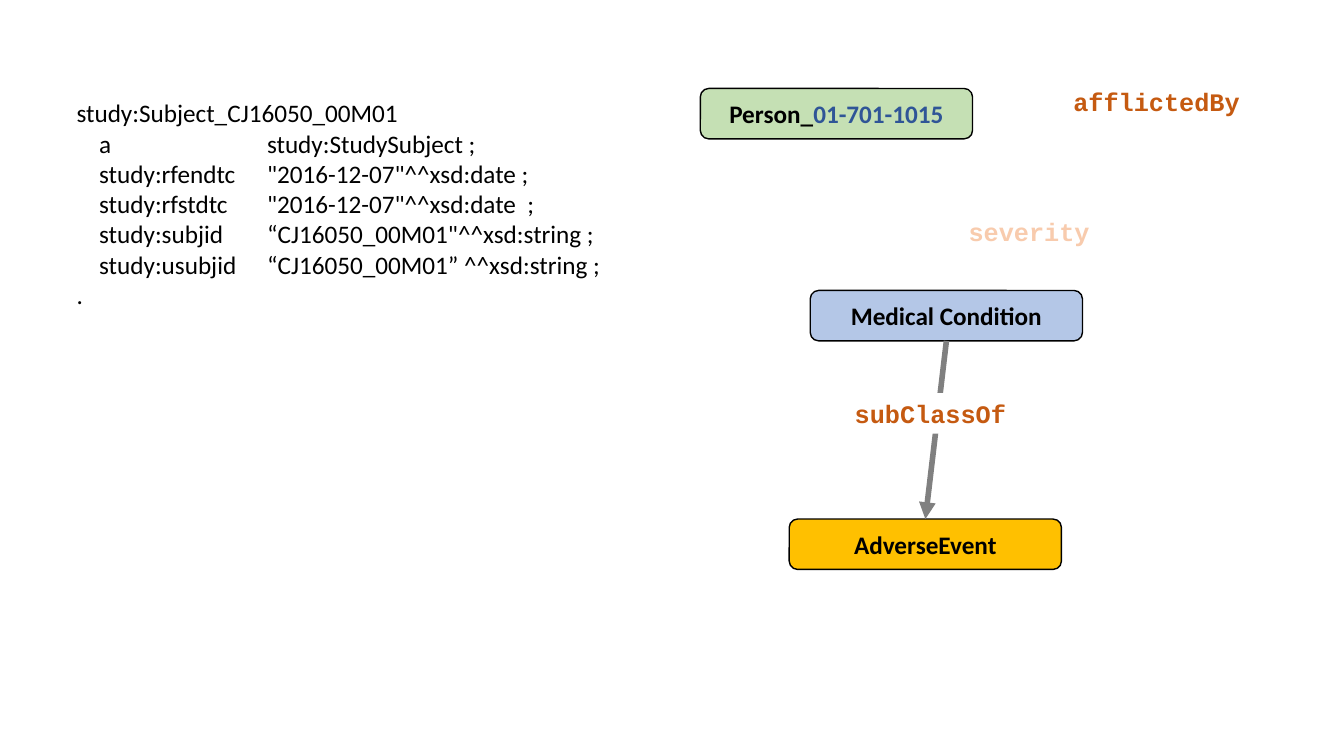
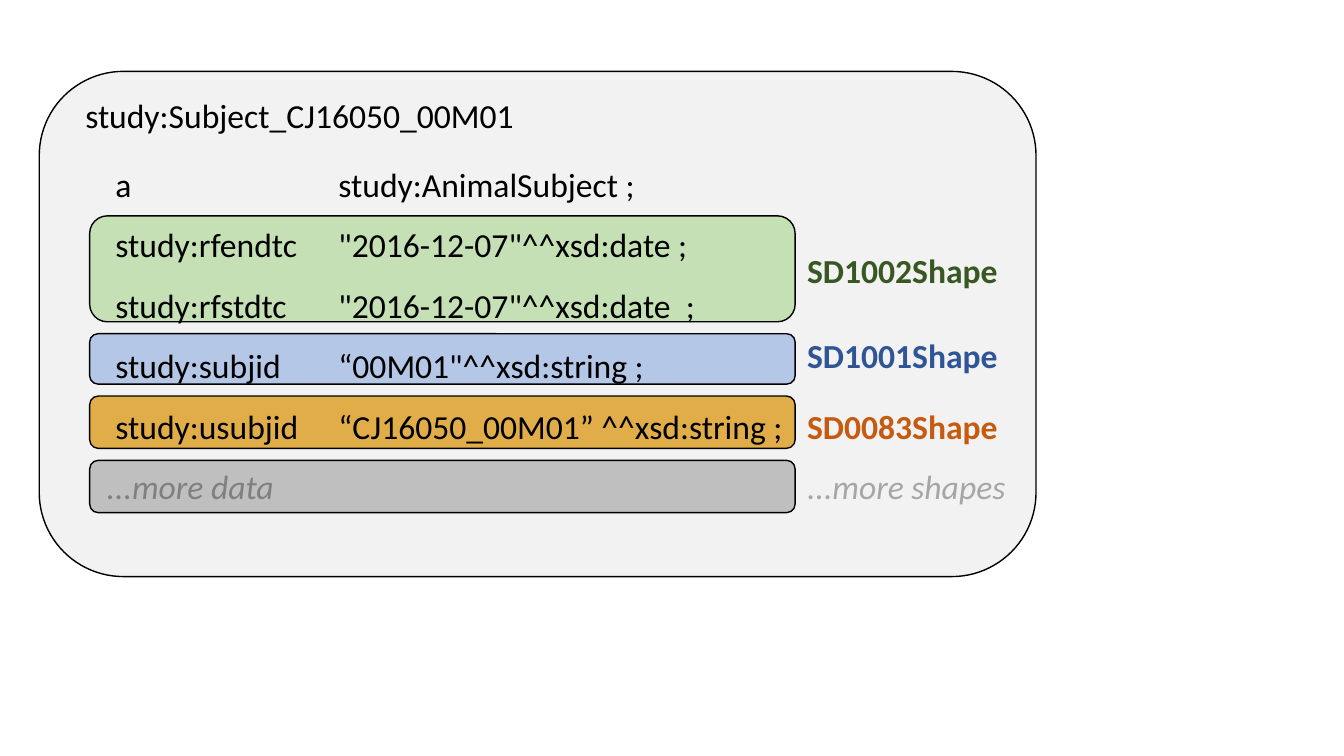
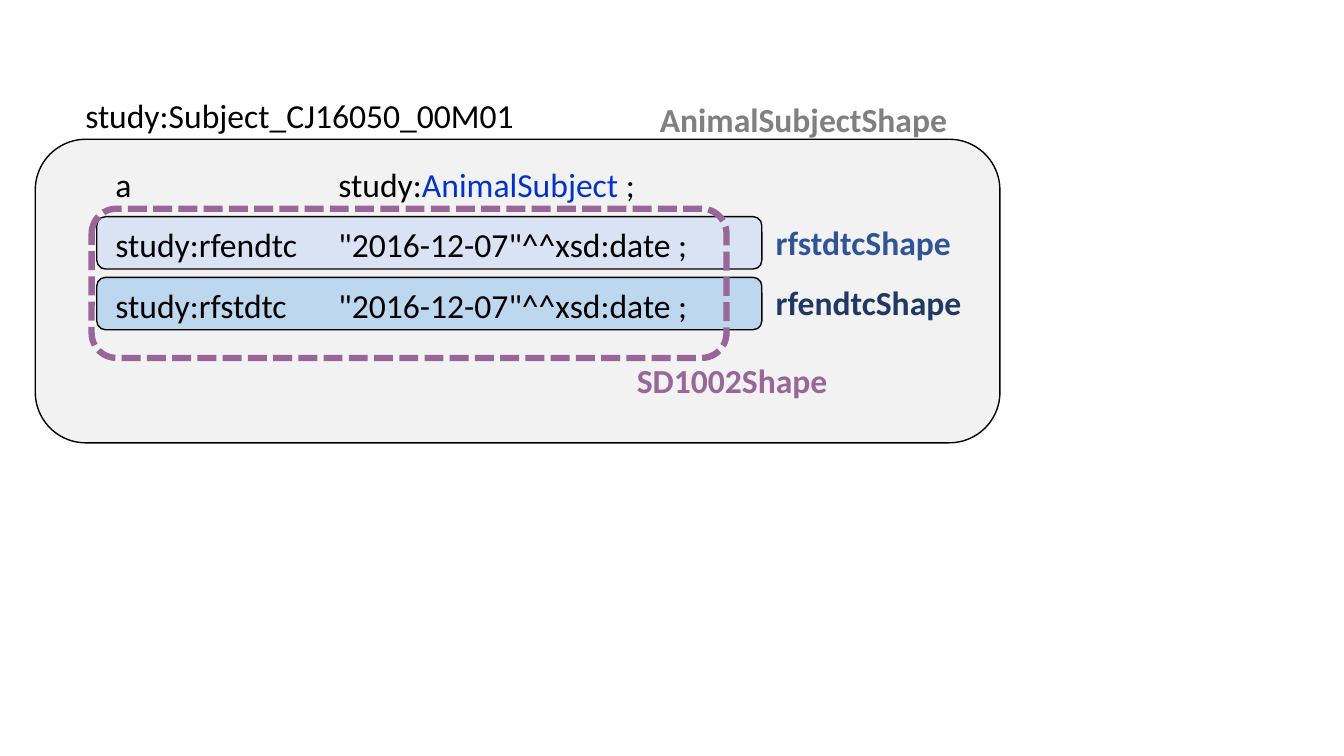
from lxml import etree
from pptx import Presentation
from pptx.dml.color import RGBColor
from pptx.enum.dml import MSO_LINE
from pptx.enum.shapes import MSO_CONNECTOR, MSO_SHAPE
from pptx.enum.text import MSO_ANCHOR, MSO_AUTO_SIZE, PP_ALIGN
from pptx.oxml.ns import qn
from pptx.util import Cm, Pt

COLORS = {
    "black": "000000", "white": "FFFFFF", "panel": "F2F2F2",
    "green": "C5E0B4", "dark_green": "385723",
    "blue": "B4C7E7", "pale_blue": "DAE3F3", "sky": "BDD7EE",
    "strong_blue": "2F5597", "navy": "203864", "link_blue": "0033CC",
    "amber": "FFC000", "ochre": "E1AD48", "rust": "C55A11", "peach": "F8CBAD",
    "silver": "BFBFBF", "light_gray": "A6A6A6", "gray": "808080",
    "purple": "996699",
}
SUBJECT = "study:Subject_CJ16050_00M01"
END_DATE = ("study:rfendtc", '"2016-12-07"^^xsd:date ;')
START_DATE_SPACED = ("study:rfstdtc", '"2016-12-07"^^xsd:date  ;')
START_DATE = ("study:rfstdtc", '"2016-12-07"^^xsd:date ;')
UNIQUE_ID = ("study:usubjid", "“CJ16050_00M01” ^^xsd:string ;")


def rgb(name):
    """Return the named colour."""
    return RGBColor.from_string(COLORS[name])


class Deck:
    """Holds the presentation style and the current slide."""

    font = "Calibri"
    code_font = "Courier New"

    def __init__(self):
        """Open an empty widescreen presentation."""
        self.prs = Presentation()
        self.prs.slide_width, self.prs.slide_height = Cm(33.87), Cm(19.05)
        self.slide = None

    def new_slide(self):
        """Start a blank slide."""
        self.slide = self.prs.slides.add_slide(self.prs.slide_layouts[6])

    def add_text(self, paragraph, parts, size, color="black", font=None,
                 bold=False, italic=False):
        """Add text, or (text, colour) parts, to a paragraph."""
        if isinstance(parts, str):
            parts = [(parts, color)]
        for text, part_color in parts:
            run = paragraph.add_run()
            run.text = text
            run.font.name = font or self.font
            run.font.size = Pt(size)
            run.font.bold, run.font.italic = bold, italic
            run.font.color.rgb = rgb(part_color)

    def box(self, left, top, width, height, fill=None, line="black",
            weight=1, dash=None):
        """Draw a rounded box, unfilled when no fill is given."""
        shape = self.slide.shapes.add_shape(
            MSO_SHAPE.ROUNDED_RECTANGLE,
            Cm(left), Cm(top), Cm(width), Cm(height))
        shape.shadow.inherit = False
        if fill:
            shape.fill.solid()
            shape.fill.fore_color.rgb = rgb(fill)
        else:
            shape.fill.background()
        shape.line.color.rgb = rgb(line)
        shape.line.width = Pt(weight)
        if dash:
            shape.line.dash_style = dash
        return shape

    def node(self, left, top, fill, parts):
        """Draw a graph node with a centred bold caption."""
        shape = self.box(left, top, 6.86, 1.27, fill)
        frame = shape.text_frame
        frame.vertical_anchor = MSO_ANCHOR.MIDDLE
        frame.paragraphs[0].alignment = PP_ALIGN.CENTER
        self.add_text(frame.paragraphs[0], parts, 18, bold=True)
        return shape

    def text_box(self, left, top, width, height, wrap=True):
        """Add an empty text box that grows with its text."""
        shape = self.slide.shapes.add_textbox(
            Cm(left), Cm(top), Cm(width), Cm(height))
        shape.text_frame.word_wrap = wrap
        shape.text_frame.auto_size = MSO_AUTO_SIZE.SHAPE_TO_FIT_TEXT
        return shape

    def predicate(self, left, top, width, text, color="rust"):
        """Add a code label on a white ground."""
        shape = self.text_box(left, top, width, 1.02)
        shape.fill.solid()
        shape.fill.fore_color.rgb = rgb("white")
        self.add_text(shape.text_frame.paragraphs[0], text, 18, color,
                      font=self.code_font, bold=True)

    def label(self, left, top, width, text, color, italic=False):
        """Add a one-line label, bold unless italic."""
        shape = self.text_box(left, top, width, 1.27, wrap=False)
        self.add_text(shape.text_frame.paragraphs[0], text, 24, color,
                      bold=not italic, italic=italic)

    def arrow(self, start, end):
        """Join the bottom of one node to the top of another."""
        connector = self.slide.shapes.add_connector(
            MSO_CONNECTOR.STRAIGHT, 0, 0, 0, 0)
        connector.begin_connect(start, 2)
        connector.end_connect(end, 0)
        connector.line.color.rgb = rgb("gray")
        connector.line.width = Pt(4)
        properties = connector._element.spPr
        etree.SubElement(properties.get_or_add_ln(), qn("a:tailEnd"),
                         type="triangle")
        etree.SubElement(properties, qn("a:effectLst"))

    def record(self, at, size, tabs, rows, leading=None, heading_space=0):
        """Set the subject, then predicate and value rows on tab stops."""
        frame = self.text_box(*at).text_frame
        heading = frame.paragraphs[0]
        heading.space_before = heading.space_after = Pt(heading_space)
        self.add_text(heading, SUBJECT, size)
        for name, value in rows:
            paragraph = frame.add_paragraph()
            if leading:
                paragraph.line_spacing = leading
            tab_list = etree.SubElement(
                paragraph._p.get_or_add_pPr(), qn("a:tabLst"))
            for stop in tabs:
                etree.SubElement(tab_list, qn("a:tab"),
                                 pos=str(Cm(stop)), algn="l")
            self.add_text(paragraph, f"\t{name}\t", size)
            self.add_text(paragraph, value, size)
        return frame

    def large_record(self, width, height, rows):
        """Set a widely spaced record in large type."""
        self.record((1.9, 2.26, width, height), 24, (0.76, 6.38), rows,
                    leading=1.5, heading_space=6)


def graph_slide(deck):
    """Show the subject's triples beside the condition graph."""
    deck.new_slide()
    deck.node(17.65, 2.23, "green",
              [("Person_", "black"), ("01-701-1015", "strong_blue")])
    condition = deck.node(20.42, 7.32, "blue", "Medical Condition")
    event = deck.node(19.89, 13.08, "amber", "AdverseEvent")
    deck.arrow(condition, event)
    deck.predicate(26.8, 2.06, 5.46, "afflictedBy")
    deck.predicate(24.16, 5.33, 4.83, "severity", "peach")
    deck.predicate(21.29, 9.91, 4.57, "subClassOf")
    frame = deck.record((1.68, 2.34, 13.82, 8.71), 18, (0.57, 4.8), [
        ("a", "study:StudySubject ;"),
        END_DATE,
        START_DATE_SPACED,
        ("study:subjid", '“CJ16050_00M01"^^xsd:string ;'),
        UNIQUE_ID,
    ])
    deck.add_text(frame.add_paragraph(), ".", 18)


def rule_shapes_slide(deck):
    """Mark which rule shape covers each part of the record."""
    deck.new_slide()
    deck.box(0.99, 1.8, 25.12, 12.73, "panel")
    top, gap = 5.44, 0.3
    for height, fill in ((2.67, "green"), (1.27, "blue"),
                         (1.32, "ochre"), (1.32, "silver")):
        deck.box(2.26, top, 17.78, height, fill)
        top += height + gap
    for label_top, text, color in (
            (6.17, "SD1002Shape", "dark_green"),
            (8.31, "SD1001Shape", "strong_blue"),
            (10.11, "SD0083Shape", "rust")):
        deck.label(20.09, label_top, 5.36, text, color)
    deck.label(20.09, 11.61, 5.56, "...more shapes", "light_gray", italic=True)
    deck.large_record(18.19, 11.25, [
        ("a", "study:AnimalSubject ;"),
        END_DATE,
        START_DATE_SPACED,
        ("study:subjid", '“00M01"^^xsd:string ;'),
        UNIQUE_ID,
    ])
    deck.label(2.44, 11.61, 4.78, "...more data", "gray", italic=True)


def date_shapes_slide(deck):
    """Show the date shapes inside the animal subject shape."""
    deck.new_slide()
    deck.box(0.89, 3.51, 24.31, 7.65, "panel")
    deck.label(15.8, 8.94, 5.36, "SD1002Shape", "purple")
    deck.label(16.38, 2.36, 7.82, "AnimalSubjectShape", "gray")
    for top, fill, text, color in (
            (5.46, "pale_blue", "rfstdtcShape", "strong_blue"),
            (6.99, "sky", "rfendtcShape", "navy")):
        deck.box(2.44, top, 16.76, 1.32, fill)
        deck.label(19.3, top, 5.2, text, color)
    deck.box(2.31, 5.26, 16, 3.76, line="purple", weight=4.5,
             dash=MSO_LINE.SQUARE_DOT)
    deck.large_record(17.32, 8.69, [
        ("a", [("study:", "black"), ("AnimalSubject", "link_blue"),
               (" ;", "black")]),
        END_DATE,
        START_DATE,
    ])


deck = Deck()
graph_slide(deck)
rule_shapes_slide(deck)
date_shapes_slide(deck)
deck.prs.save("out.pptx")
